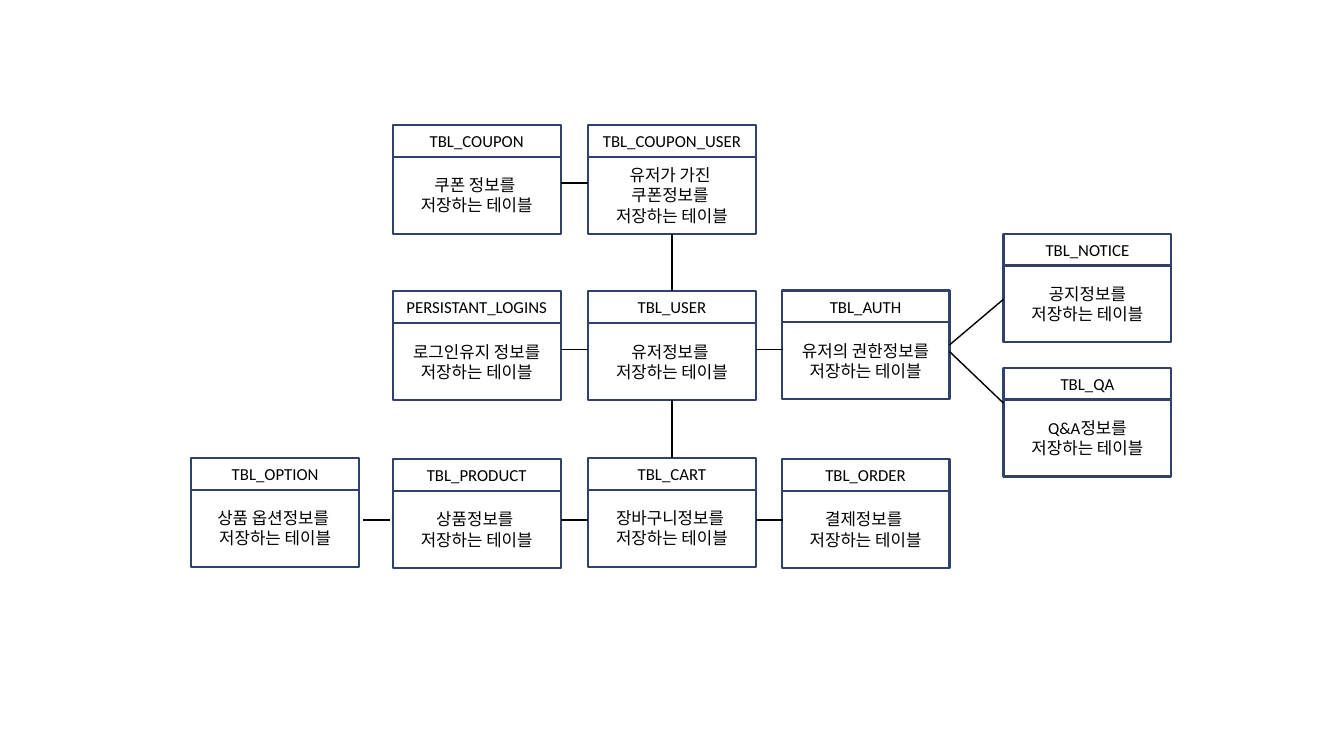
from dataclasses import dataclass

from lxml import etree
from pptx import Presentation
from pptx import util as u
from pptx.dml.color import RGBColor
from pptx.enum import shapes, text
from pptx.oxml.ns import qn


@dataclass(frozen=True)
class Theme:
    font: str = "Calibri"
    size: float = 12
    ink: str = "000000"
    paper: str = "FFFFFF"
    border: str = "30416A"
    border_width: float = 1.5
    link_width: float = 1


theme = Theme()


def write(sp, content, size=theme.size, color=theme.ink, font=theme.font,
          align=text.PP_ALIGN.CENTER, anchor=text.MSO_ANCHOR.MIDDLE):
    """Fill a shape with one paragraph per line of content."""
    tf = sp.text_frame
    tf.word_wrap = True
    tf.vertical_anchor = anchor
    for i, line in enumerate(content.split("\n")):
        p = tf.paragraphs[0] if i == 0 else tf.add_paragraph()
        p.alignment = align
        r = p.add_run()
        r.text = line
        r.font.size = u.Pt(size)
        r.font.name = font
        r.font.color.rgb = RGBColor.from_string(color)


prs = Presentation()
prs.slide_width, prs.slide_height = u.Cm(33.87), u.Cm(19.05)
s = prs.slides.add_slide(prs.slide_layouts[6])

# Card geometry in cm
CARD_W, HEAD_H, BODY_H = 4.23, 0.8, 1.94
COLS = [4.82, 9.9, 14.82, 19.7, 25.29]
COUPON_Y, USER_Y, AUTH_Y = 3.15, 7.34, 7.32
CART_Y, PRODUCT_Y = 11.54, 11.57
NOTICE_Y, QA_Y = 5.89, 9.27

# Table name, column, top, description
tables = [
    ("PERSISTANT_LOGINS", 1, USER_Y, "로그인유지 정보를 저장하는 테이블"),
    ("TBL_USER", 2, USER_Y, "유저정보를 \n저장하는 테이블"),
    ("TBL_AUTH", 3, AUTH_Y, "유저의 권한정보를\n저장하는 테이블"),
    ("TBL_PRODUCT", 1, PRODUCT_Y, "상품정보를 \n저장하는 테이블"),
    ("TBL_CART", 2, CART_Y, "장바구니정보를 \n저장하는 테이블"),
    ("TBL_OPTION", 0, CART_Y, "상품 옵션정보를 \n저장하는 테이블"),
    ("TBL_ORDER", 3, PRODUCT_Y, "결제정보를 \n저장하는 테이블"),
    ("TBL_COUPON", 1, COUPON_Y, "쿠폰 정보를 \n저장하는 테이블"),
    ("TBL_COUPON_USER", 2, COUPON_Y, "유저가 가진 \n쿠폰정보를 \n저장하는 테이블"),
    ("TBL_NOTICE", 4, NOTICE_Y, "공지정보를\n저장하는 테이블"),
    ("TBL_QA", 4, QA_Y, "Q&A정보를\n저장하는 테이블"),
]

heads, bodies = {}, {}
for name, col, top, description in tables:
    card = s.shapes.add_group_shape()
    for parts, y, h, content in ((heads, top, HEAD_H, name),
                                 (bodies, top + HEAD_H, BODY_H, description)):
        sp = card.shapes.add_shape(shapes.MSO_SHAPE.RECTANGLE, u.Cm(COLS[col]),
                                   u.Cm(y), u.Cm(CARD_W), u.Cm(h))
        sp.shadow.inherit = False
        sp.fill.solid()
        sp.fill.fore_color.rgb = RGBColor.from_string(theme.paper)
        sp.line.color.rgb = RGBColor.from_string(theme.border)
        sp.line.width = u.Pt(theme.border_width)
        write(sp, content)
        parts[name] = sp

# Links that meet the cards beside the middle of a side: x1, y1, x2, y2
side_links = [
    (14.15, 4.61, 14.81, 4.61),
    (14.15, 8.8, 14.81, 8.8),
    (14.15, 13.1, 14.81, 13.1),
    (9.16, 13.1, 9.82, 13.1),
    (19.05, 8.8, 19.73, 8.8),
    (23.93, 8.69, 25.29, 7.54),
    (23.93, 8.86, 25.29, 10.16),
    (19.05, 13.1, 19.73, 13.1),
]
links = [s.shapes.add_connector(shapes.MSO_CONNECTOR.STRAIGHT, *map(u.Cm, ends))
         for ends in side_links]

# Vertical links join the bottom of one card to the top of the next
for upper, lower in (("TBL_COUPON_USER", "TBL_USER"), ("TBL_USER", "TBL_CART")):
    start, end = bodies[upper], heads[lower]
    middle = start.left + start.width // 2
    link = s.shapes.add_connector(shapes.MSO_CONNECTOR.STRAIGHT, middle,
                                  start.top + start.height, middle, end.top)
    link.begin_connect(start, 2)
    link.end_connect(end, 0)
    links.append(link)

for link in links:
    link.line.color.rgb = RGBColor.from_string(theme.ink)
    link.line.width = u.Pt(theme.link_width)
    etree.SubElement(link._element.spPr, qn("a:effectLst"))

prs.save("out.pptx")
